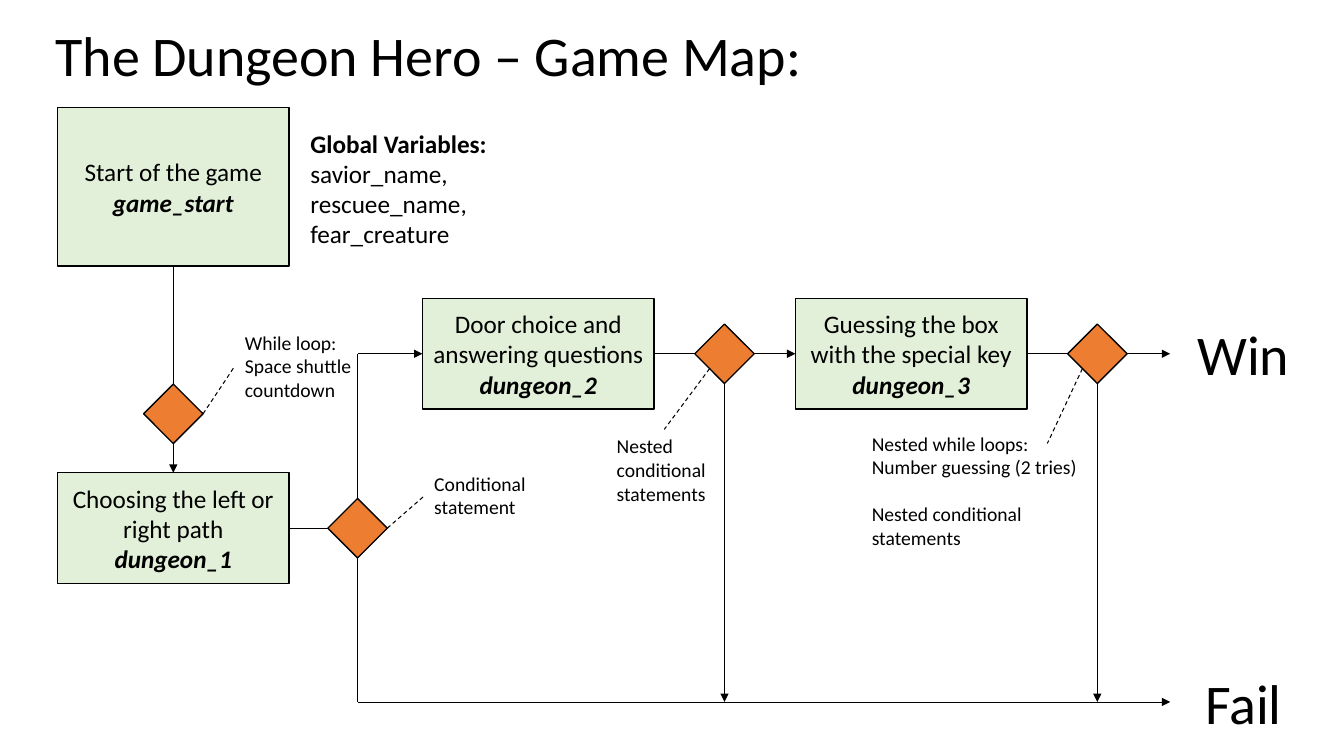
from lxml import etree
from pptx import Presentation
from pptx.dml.color import RGBColor
from pptx.enum.dml import MSO_LINE
from pptx.enum.shapes import MSO_CONNECTOR, MSO_SHAPE
from pptx.enum.text import MSO_ANCHOR, PP_ALIGN
from pptx.oxml.ns import qn
from pptx.util import Pt

BLACK = RGBColor(0x00, 0x00, 0x00)
GREEN = RGBColor(0xE2, 0xF0, 0xD9)
ORANGE = RGBColor(0xED, 0x7D, 0x31)
RECTANGLE = MSO_SHAPE.RECTANGLE
DIAMOND = MSO_SHAPE.DIAMOND
STRAIGHT = MSO_CONNECTOR.STRAIGHT
DASH = MSO_LINE.DASH
MIDDLE = MSO_ANCHOR.MIDDLE
LEFT = PP_ALIGN.LEFT
CENTER = PP_ALIGN.CENTER

ROOM_WIDTH = 165.6
ROOM_HEIGHT = 79.2
START_HEIGHT = 113
DIAMOND_SIZE = 42.5
HALF = DIAMOND_SIZE / 2

LEFT_ROOM_X = 41
START_Y = 77
FIRST_ROOM_Y = 337.7
UPPER_ROOM_Y = 213.1
SECOND_ROOM_X = 301.7
THIRD_ROOM_X = 568.1

START_X = LEFT_ROOM_X + ROOM_WIDTH / 2
COUNTDOWN_Y = 295.6
FORK_X = 255.4
FIRST_Y = FIRST_ROOM_Y + ROOM_HEIGHT / 2
WIN_Y = UPPER_ROOM_Y + ROOM_HEIGHT / 2
SECOND_CHECK_X = 517.5
THIRD_CHECK_X = 783.8
FAIL_Y = 501.4
RESULT_X = 835.9


class GameMap:
    font = "Calibri"
    body_size = 18
    note_size = 14
    title_size = 40

    def __init__(self, page):
        self.page = page

    def set_text(self, frame, lines, size, align):
        frame.text = "\n".join(lines)
        for para in frame.paragraphs:
            para.alignment = align
            for span in para.runs:
                span.font.name = self.font
                span.font.size = Pt(size)
                span.font.color.rgb = BLACK

    def shape(self, kind, left, top, width, height, fill):
        shape = self.page.shapes.add_shape(kind, Pt(left), Pt(top), Pt(width), Pt(height))
        shape.shadow.inherit = False
        shape.fill.solid()
        shape.fill.fore_color.rgb = fill
        shape.line.color.rgb = BLACK
        shape.line.width = Pt(1)
        return shape

    def room(self, left, top, height, label, function):
        frame = self.shape(RECTANGLE, left, top, ROOM_WIDTH, height, GREEN).text_frame
        frame.word_wrap = True
        frame.vertical_anchor = MIDDLE
        self.set_text(frame, [label, function], self.body_size, CENTER)
        name = frame.paragraphs[1].runs[0].font
        name.bold = True
        name.italic = True

    def check(self, x, y):
        self.shape(DIAMOND, x - HALF, y - HALF, DIAMOND_SIZE, DIAMOND_SIZE, ORANGE)

    def text(self, left, top, width, height, lines, size, align=LEFT):
        box = self.page.shapes.add_textbox(Pt(left), Pt(top), Pt(width), Pt(height))
        frame = box.text_frame
        frame.word_wrap = align == CENTER
        self.set_text(frame, lines, size, align)
        return frame

    def line(self, start, end, width=0.5):
        line = self.page.shapes.add_connector(STRAIGHT, *map(Pt, start + end))
        line.line.color.rgb = BLACK
        line.line.width = Pt(width)
        etree.SubElement(line._element.spPr, qn("a:effectLst"))
        return line

    def arrow(self, start, end):
        outline = self.line(start, end)._element.spPr.find(qn("a:ln"))
        etree.SubElement(outline, qn("a:tailEnd"), type="triangle")

    def pointer(self, start, end):
        self.line(start, end, 0.75).line.dash_style = DASH


def main():
    deck = Presentation()
    deck.slide_width = Pt(960)
    deck.slide_height = Pt(540)
    game = GameMap(deck.slides.add_slide(deck.slide_layouts[6]))

    rooms = [
        (LEFT_ROOM_X, START_Y, START_HEIGHT, "Start of the game", "game_start"),
        (LEFT_ROOM_X, FIRST_ROOM_Y, ROOM_HEIGHT, "Choosing the left or right path", "dungeon_1"),
        (SECOND_ROOM_X, UPPER_ROOM_Y, ROOM_HEIGHT, "Door choice and answering questions", "dungeon_2"),
        (THIRD_ROOM_X, UPPER_ROOM_Y, ROOM_HEIGHT, "Guessing the box with the special key", "dungeon_3"),
    ]
    for room in rooms:
        game.room(*room)

    checks = [(START_X, COUNTDOWN_Y), (FORK_X, FIRST_Y), (SECOND_CHECK_X, WIN_Y), (THIRD_CHECK_X, WIN_Y)]
    for x, y in checks:
        game.check(x, y)

    lines = [
        ((START_X, START_Y + START_HEIGHT), (START_X, COUNTDOWN_Y - HALF)),
        ((LEFT_ROOM_X + ROOM_WIDTH, FIRST_Y), (FORK_X - HALF, FIRST_Y)),
        ((FORK_X, FIRST_Y - HALF), (FORK_X, WIN_Y)),
        ((FORK_X, FIRST_Y + HALF), (FORK_X, FAIL_Y)),
        ((SECOND_ROOM_X + ROOM_WIDTH, WIN_Y), (SECOND_CHECK_X - HALF, WIN_Y)),
        ((THIRD_ROOM_X + ROOM_WIDTH, WIN_Y), (THIRD_CHECK_X - HALF, WIN_Y)),
    ]
    for start, end in lines:
        game.line(start, end)

    arrows = [
        ((START_X, COUNTDOWN_Y + HALF), (START_X, FIRST_ROOM_Y)),
        ((FORK_X, WIN_Y), (SECOND_ROOM_X, WIN_Y)),
        ((SECOND_CHECK_X + HALF, WIN_Y), (THIRD_ROOM_X, WIN_Y)),
        ((THIRD_CHECK_X + HALF, WIN_Y), (RESULT_X, WIN_Y)),
        ((FORK_X, FAIL_Y), (RESULT_X, FAIL_Y)),
        ((SECOND_CHECK_X, WIN_Y + HALF), (SECOND_CHECK_X, FAIL_Y)),
        ((THIRD_CHECK_X, WIN_Y + HALF), (THIRD_CHECK_X, FAIL_Y)),
    ]
    for start, end in arrows:
        game.arrow(start, end)

    pointers = [
        ((START_X + HALF, COUNTDOWN_Y), (167.8, 261.4)),
        ((FORK_X + HALF, FIRST_Y), (303.1, 354.2)),
        ((SECOND_CHECK_X - HALF / 2, WIN_Y + HALF / 2), (474.5, 306.7)),
        ((THIRD_CHECK_X - HALF / 2, WIN_Y + HALF / 2), (748.1, 316.8)),
    ]
    for start, end in pointers:
        game.pointer(start, end)

    game.text(0, 10.8, 612, 55.4, ["The Dungeon Hero – Game Map:"], game.title_size, CENTER)
    for result, y in (("Win", WIN_Y), ("Fail", FAIL_Y)):
        game.text(RESULT_X, y - 27.7, 104.4, 55.4, [result], game.title_size, CENTER)

    variables = ["Global Variables:", "savior_name,", "rescuee_name,", "fear_creature"]
    frame = game.text(214.6, 87.8, 141.8, 94.3, variables, game.body_size)
    frame.paragraphs[0].runs[0].font.bold = True

    notes = [
        (167.8, 232.6, 95, 58.3, ["While loop:", "Space shuttle", "countdown"]),
        (303.1, 333.4, 84.2, 41, ["Conditional", "statement"]),
        (433.4, 306.7, 82.1, 58.3, ["Nested", "conditional", "statements"]),
    ]
    for left, top, width, height, note in notes:
        game.text(left, top, width, height, note, game.note_size)

    loops = ["Nested while loops:", "Number guessing (2 tries)", "Nested conditional", "statements"]
    frame = game.text(615.6, 304.6, 162, 92.2, loops, game.note_size)
    frame.paragraphs[2].space_before = Pt(17)

    deck.save("out.pptx")


if __name__ == "__main__":
    main()
